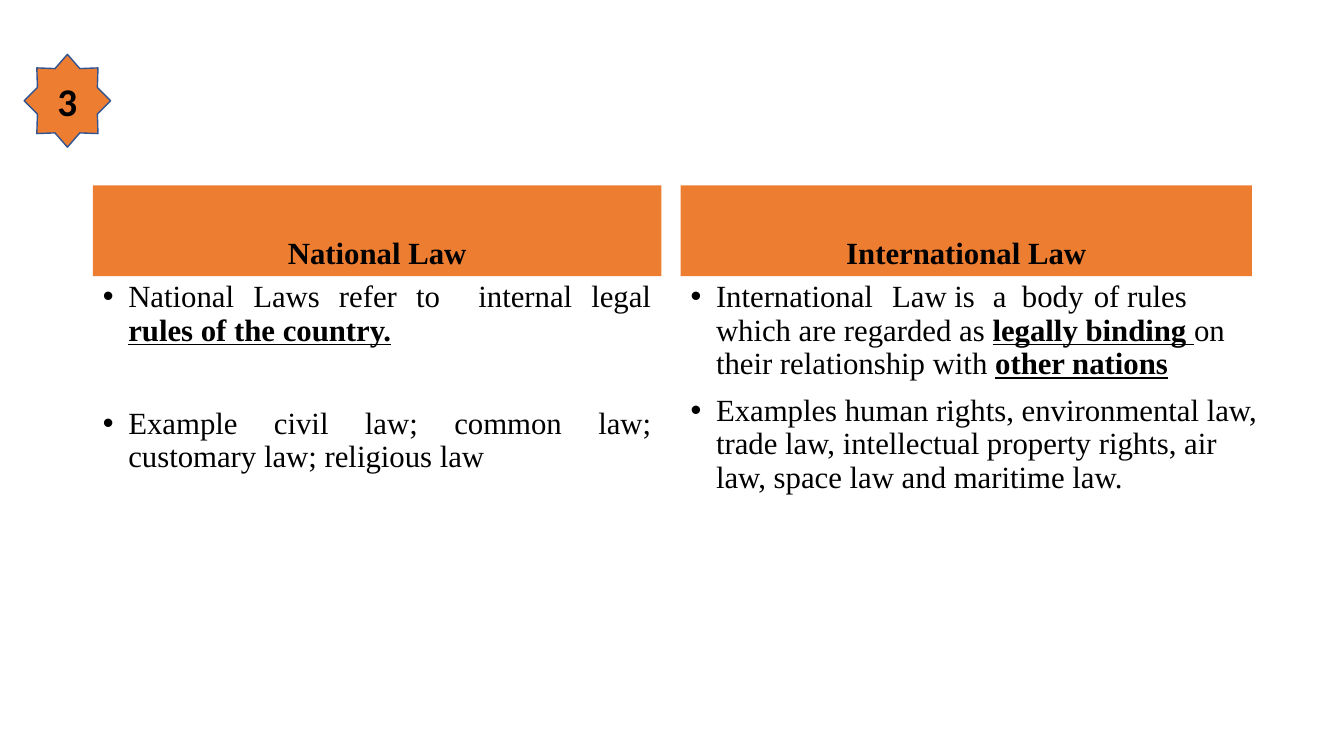
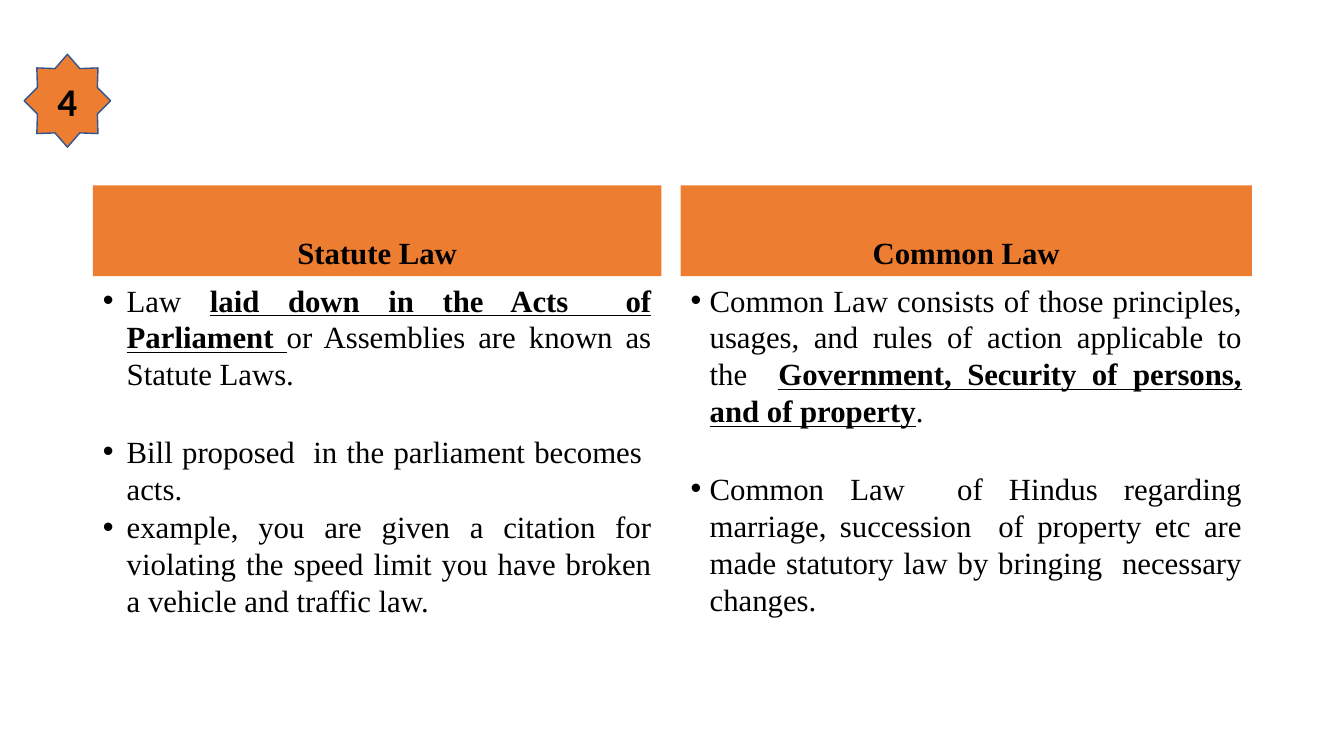
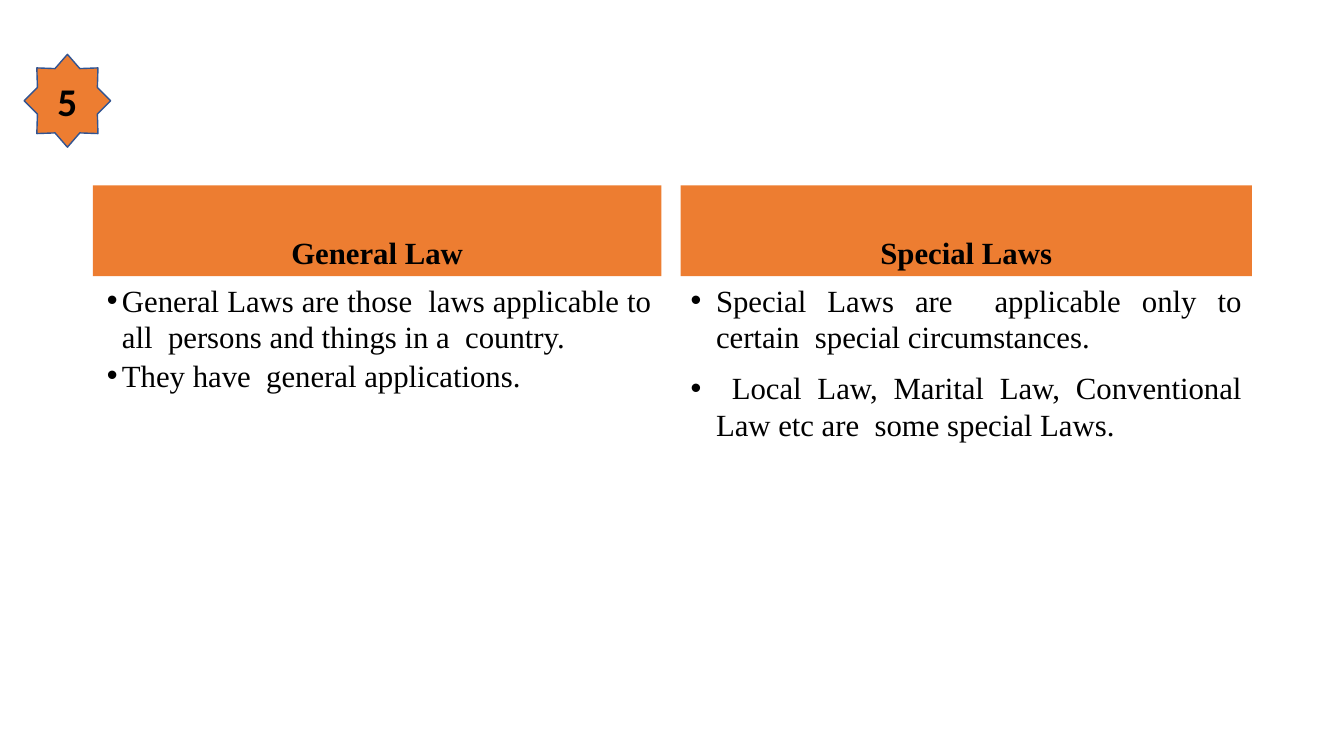
from dataclasses import dataclass

from pptx import Presentation
from pptx.dml.color import RGBColor
from pptx.enum.shapes import MSO_SHAPE
from pptx.enum.text import MSO_ANCHOR, MSO_AUTO_SIZE, PP_ALIGN
from pptx.util import Cm, Pt


@dataclass(frozen=True)
class Theme:
    accent: RGBColor = RGBColor(0xED, 0x7D, 0x31)
    edge: RGBColor = RGBColor(0x32, 0x54, 0x91)
    ink: RGBColor = RGBColor(0, 0, 0)
    serif: str = "Times New Roman"
    sans: str = "Calibri"
    body: Pt = Pt(22)
    badge: Pt = Pt(28)


THEME = Theme()
TOP, HEAD, DEPTH = 4.67, 2.29, 10.24
COLS = [(2.34, 14.33), (17.15, 14.4)]  # left, width in cm

# Asterisks enclose the stressed words. Each point is (space before, text).
SLIDES = [
    {"num": "3", "lines": 0.9, "cols": [
        {"head": "National Law", "hang": (0.64, 0.64), "points": [
            (10, "National Laws refer to  internal legal *rules of the country.*"),
            (43, "Example civil law; common law; customary law; religious law ")]},
        {"head": "International Law", "hang": (0.64, 0.64), "width": 14.91,
         "align": PP_ALIGN.LEFT, "points": [
            (10, "International	Law is	a  body	of rules which are regarded as "
                 "*legally binding *on their relationship with *other nations*"),
            (10, "Examples human rights, environmental law, trade law, intellectual "
                 "property rights, air law, space law and maritime law.")]}]},
    {"num": "4", "lines": 1.0, "cols": [
        {"head": "Statute Law", "hang": (0.6, 0.6), "points": [
            (1, "Law *laid down in the Acts  of Parliament *or Assemblies are known "
                "as Statute Laws."),
            (29, "Bill proposed  in the parliament becomes  acts."),
            (1, "example, you are given a citation for violating the speed limit "
                "you have broken a vehicle and traffic law.")]},
        {"head": "Common Law", "hang": (0.48, 0.48), "points": [
            (1, "Common Law consists of those principles, usages, and rules of action "
                "applicable to the  *Government, Security of persons, and of property*."),
            (29, "Common Law  of Hindus regarding marriage, succession  of property etc "
                 "are made statutory law by bringing  necessary changes.")]}]},
    {"num": "5", "lines": 1.0, "cols": [
        {"head": "General Law", "hang": (0.48, 0.38), "points": [
            (1, "General Laws are those  laws applicable to all  persons and things "
                "in a  country."),
            (1, "They have  general applications.")]},
        {"head": "Special Laws", "hang": (0.64, 0.64), "points": [
            (10, "Special Laws are  applicable only to certain  special circumstances."),
            (10, " Local Law, Marital Law, Conventional Law etc are  some special Laws.")]}]},
]


def place(shape, left, top, width, height):
    shape.left, shape.top = Cm(left), Cm(top)
    shape.width, shape.height = Cm(width), Cm(height)


def style(run, face=THEME.serif, size=THEME.body, bold=False):
    font = run.font
    font.name, font.size, font.bold = face, size, bold
    font.color.rgb = THEME.ink


def set_grid(layout):
    """Give the comparison layout its two bands and the panes below them."""
    slots = {p.placeholder_format.idx: p for p in layout.placeholders}
    for col, (left, width) in enumerate(COLS):
        band, pane = slots[1 + 2 * col], slots[2 + 2 * col]
        place(band, left, TOP, width, HEAD)
        place(pane, left, TOP + HEAD, width, DEPTH)
        band.fill.solid()
        band.fill.fore_color.rgb = THEME.accent


def add_head(band, text, lines):
    frame = band.text_frame
    frame.text = text
    frame.vertical_anchor = MSO_ANCHOR.BOTTOM
    para = frame.paragraphs[0]
    para.alignment = PP_ALIGN.CENTER
    para.line_spacing = lines
    style(para.runs[0], bold=True)


def add_points(pane, col, lines):
    frame = pane.text_frame
    frame.auto_size = MSO_AUTO_SIZE.NONE
    margin, hang = col["hang"]
    for i, (gap, text) in enumerate(col["points"]):
        para = frame.add_paragraph() if i else frame.paragraphs[0]
        para.alignment = col.get("align", PP_ALIGN.JUSTIFY)
        para.line_spacing, para.space_before = lines, Pt(gap)
        props = para._p.get_or_add_pPr()
        props.set("marL", str(Cm(margin)))
        props.set("indent", str(-Cm(hang)))
        for j, part in enumerate(text.split("*")):
            if part:
                run = para.add_run()
                run.text = part
                style(run, bold=j % 2 == 1)
                run.font.underline = j % 2 == 1


def add_badge(slide, num):
    star = slide.shapes.add_shape(
        MSO_SHAPE.STAR_8_POINT, Cm(0.61), Cm(1.37), Cm(2.18), Cm(2.34))
    star.shadow.inherit = False
    star.fill.solid()
    star.fill.fore_color.rgb = THEME.accent
    star.line.color.rgb, star.line.width = THEME.edge, Pt(1)
    frame = star.text_frame
    frame.text = num
    frame.vertical_anchor = MSO_ANCHOR.MIDDLE
    frame.paragraphs[0].alignment = PP_ALIGN.CENTER
    style(frame.paragraphs[0].runs[0], THEME.sans, THEME.badge, True)


def add_page(deck, layout, page):
    slide = deck.slides.add_slide(layout)
    title = slide.shapes.title
    title._element.getparent().remove(title._element)
    slots = {p.placeholder_format.idx: p for p in slide.placeholders}
    for i, col in enumerate(page["cols"]):
        band, pane = slots[1 + 2 * i], slots[2 + 2 * i]
        add_head(band, col["head"], page["lines"])
        add_points(pane, col, page["lines"])
        if "width" in col:
            place(pane, COLS[i][0], TOP + HEAD, col["width"], DEPTH)
    add_badge(slide, page["num"])


def main():
    deck = Presentation()
    deck.slide_width, deck.slide_height = Cm(33.87), Cm(19.05)
    layout = deck.slide_layouts.get_by_name("Comparison")
    set_grid(layout)
    for page in SLIDES:
        add_page(deck, layout, page)
    deck.save("out.pptx")


if __name__ == "__main__":
    main()
